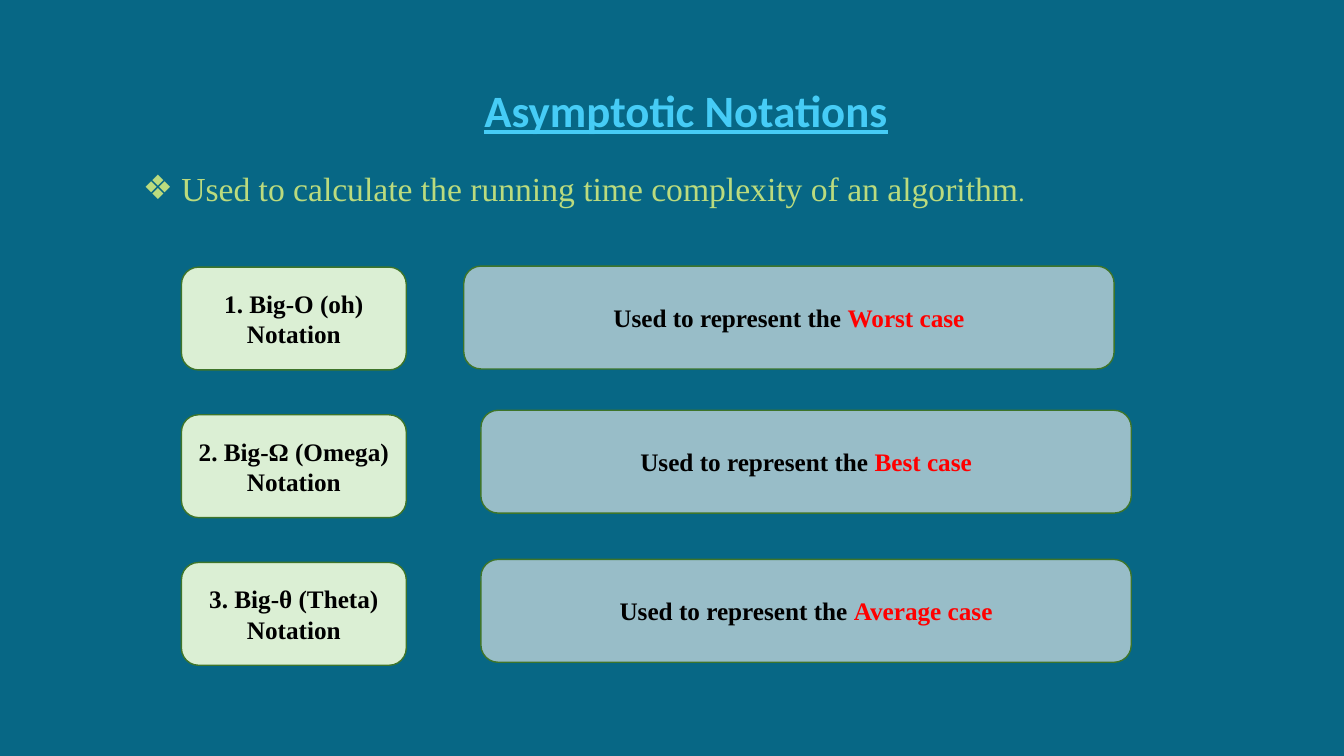
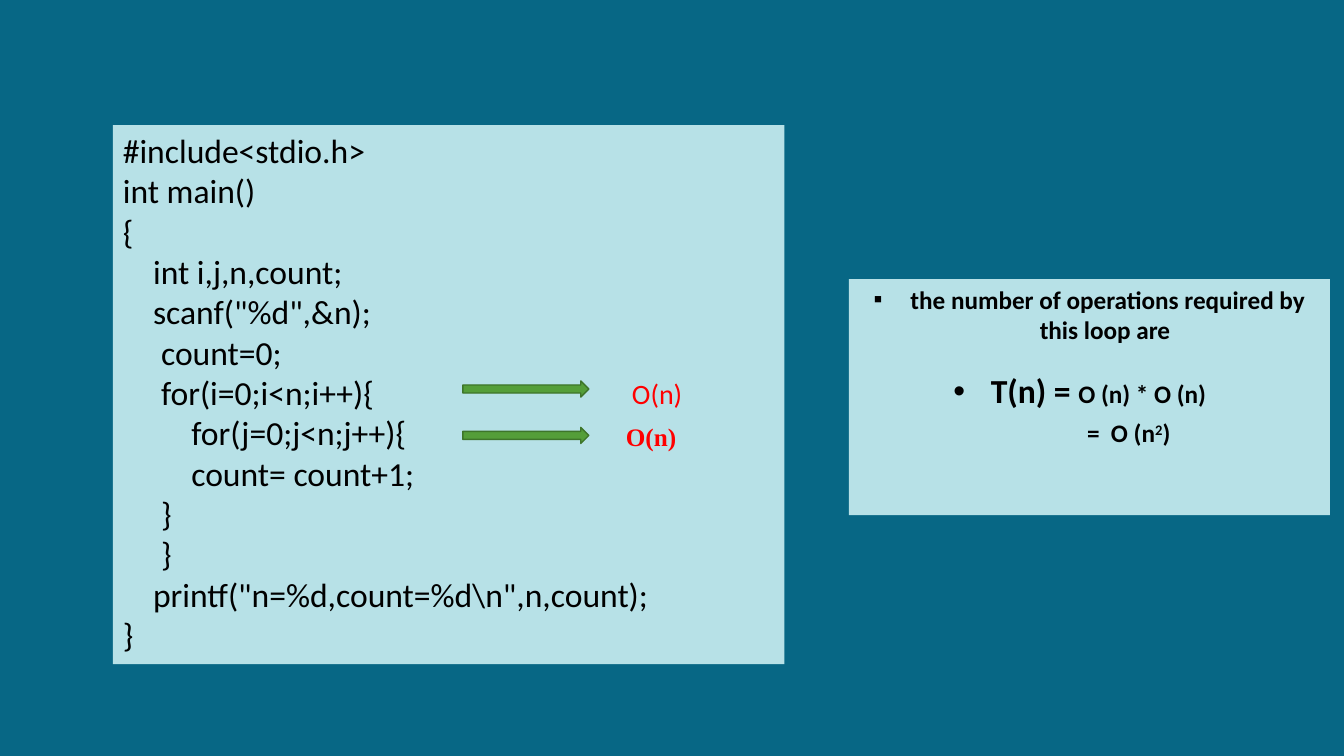
from lxml import etree
from pptx import Presentation
from pptx.dml.color import RGBColor
from pptx.enum import shapes, text
from pptx.oxml.ns import qn
from pptx.util import Inches, Pt

BACKGROUND, PANEL, BLACK, RED = "076785", "B7E1E7", "000000", "FF0000"
GREEN, DARK_GREEN = "549E39", "3E752A"
SANS, SERIF = "Calibri", "Times New Roman"
CENTER = text.PP_ALIGN.CENTER


def add_block(slide, box, fill=None, line=None, kind=shapes.MSO_SHAPE.RECTANGLE,
              anchor=text.MSO_ANCHOR.TOP):
    """Add a flat shape, or a text box when there is no fill."""
    box = [Inches(length) for length in box]
    if fill:
        block = slide.shapes.add_shape(kind, *box)
        block.shadow.inherit = False
        block.fill.solid()
        block.fill.fore_color.rgb = RGBColor.from_string(fill)
        if line:
            block.line.color.rgb = RGBColor.from_string(line)
            block.line.width = Pt(1)
        else:
            block.line.fill.background()
    else:
        block = slide.shapes.add_textbox(*box)
    block.text_frame.word_wrap = True
    block.text_frame.vertical_anchor = anchor
    return block


def write(frame, runs, align=text.PP_ALIGN.LEFT, before=0, bullet=None, **indents):
    """Add a paragraph of (words, size, font, colour, bold) runs; indents are in inches."""
    first = frame.paragraphs[0]
    paragraph = frame.add_paragraph() if first.runs else first
    paragraph.alignment = align
    paragraph.space_before = Pt(before)
    properties = paragraph._p.get_or_add_pPr()
    for name, length in indents.items():
        properties.set(name, str(Inches(length)))
    if bullet:
        etree.SubElement(properties, qn("a:buFont"), typeface="Arial")
        etree.SubElement(properties, qn("a:buChar"), char=bullet)
    for words, size, font, colour, bold in runs:
        run = paragraph.add_run()
        run.text = words
        run.font.size = Pt(size)
        run.font.name = font
        run.font.bold = bold
        run.font.color.rgb = RGBColor.from_string(colour)
    return paragraph


prs = Presentation()
prs.slide_width, prs.slide_height = Inches(13.33), Inches(7.5)
master_fill = prs.slide_master.background.fill
master_fill.solid()
master_fill.fore_color.rgb = RGBColor.from_string(BACKGROUND)
blank = prs.slide_layouts[6]

# Asymptotic notations
notations = prs.slides.add_slide(blank)
title = add_block(notations, (3.47, 0.77, 6.67, 0.64))
heading = write(title.text_frame, [("Asymptotic Notations", 32, SANS, "46CCF6", True)], CENTER)
heading.runs[0].font.underline = True

purpose = add_block(notations, (1.32, 1.62, 10.73, 0.5))
write(purpose.text_frame, [
    ("Used to calculate the running time complexity of an algorithm", 24, SERIF, "BBDB7E", False),
    (".", 18, SERIF, "BBDB7E", False),
], bullet="❖", marL=0.38, indent=-0.38)

rows = [
    ("1. Big-O (oh) Notation", "Worst case", 4.6, 2.64),
    ("2. Big-Ω (Omega) Notation", "Best case", 4.77, 4.07),
    ("3. Big-θ (Theta) Notation", "Average case", 4.77, 5.55),
]
rounded = dict(line=DARK_GREEN, kind=shapes.MSO_SHAPE.ROUNDED_RECTANGLE,
               anchor=text.MSO_ANCHOR.MIDDLE)
for index, (notation, case, left, top) in enumerate(rows):
    label = add_block(notations, (1.8, 2.65 + index * 1.465, 2.23, 1.02), "DBEFD4", **rounded)
    write(label.text_frame, [(notation, 18, SERIF, BLACK, True)], CENTER)

    meaning = add_block(notations, (left, top, 6.45, 1.02), "F2F2F2", **rounded)
    colour = meaning.fill._xPr.find(qn("a:solidFill"))[0]
    etree.SubElement(colour, qn("a:alpha"), val="62000")
    write(meaning.text_frame, [("Used to represent the ", 18, SERIF, BLACK, True),
                               (case, 18, SERIF, RED, True)], CENTER)

# Cost of a nested loop
nested_loop = prs.slides.add_slide(blank)
listing = add_block(nested_loop, (1.12, 1.24, 6.66, 5.35), PANEL)
code = [
    (0, "#include<stdio.h>"),
    (0, "int main()"),
    (0, "{"),
    (0.3, "int i,j,n,count;"),
    (0.3, 'scanf("%d",&n);'),
    (0.38, "count=0;"),
    (0.38, "for(i=0;i<n;i++){"),
    (0.68, "for(j=0;j<n;j++){"),
    (0.68, "count= count+1;"),
    (0.38, "}"),
    (0.38, "}"),
    (0.3, 'printf("n=%d,count=%d\\n",n,count);'),
    (0, "}"),
]
for indent, statement in code:
    write(listing.text_frame, [(statement, 24, SANS, BLACK, False)], marL=indent, indent=0)

loop_costs = [
    (3.78, (6.17, 3.69, 0.8, 0.44), ("O(n)", 20, SANS, RED, False)),
    (4.24, (6.11, 4.13, 0.8, 0.39), ("O(n)", 18, SERIF, RED, True)),
]
for arrow_top, cost_box, cost in loop_costs:
    add_block(nested_loop, (4.59, arrow_top, 1.25, 0.16), GREEN, DARK_GREEN,
              shapes.MSO_SHAPE.RIGHT_ARROW)
    write(add_block(nested_loop, cost_box).text_frame, [cost])

result = add_block(nested_loop, (8.42, 2.77, 4.77, 2.34), PANEL).text_frame
write(result, [(" the number of operations required by this loop are", 18, SANS, BLACK, True)],
      CENTER, bullet="▪", marL=0.31, indent=-0.31)
write(result, [("T(n) = ", 24, SANS, BLACK, True), ("O (n) * O (n)", 18, SANS, BLACK, True)],
      CENTER, before=18.4, bullet="•", marL=0.37, marR=0.19, indent=-0.37)
total = write(result, [(words, 18, SANS, BLACK, True) for words in ("=  O (n", "2", ")")],
              CENTER, before=4.8, marL=0.97, indent=0)
total.runs[1].font._element.set("baseline", "30000")

prs.save("out.pptx")
